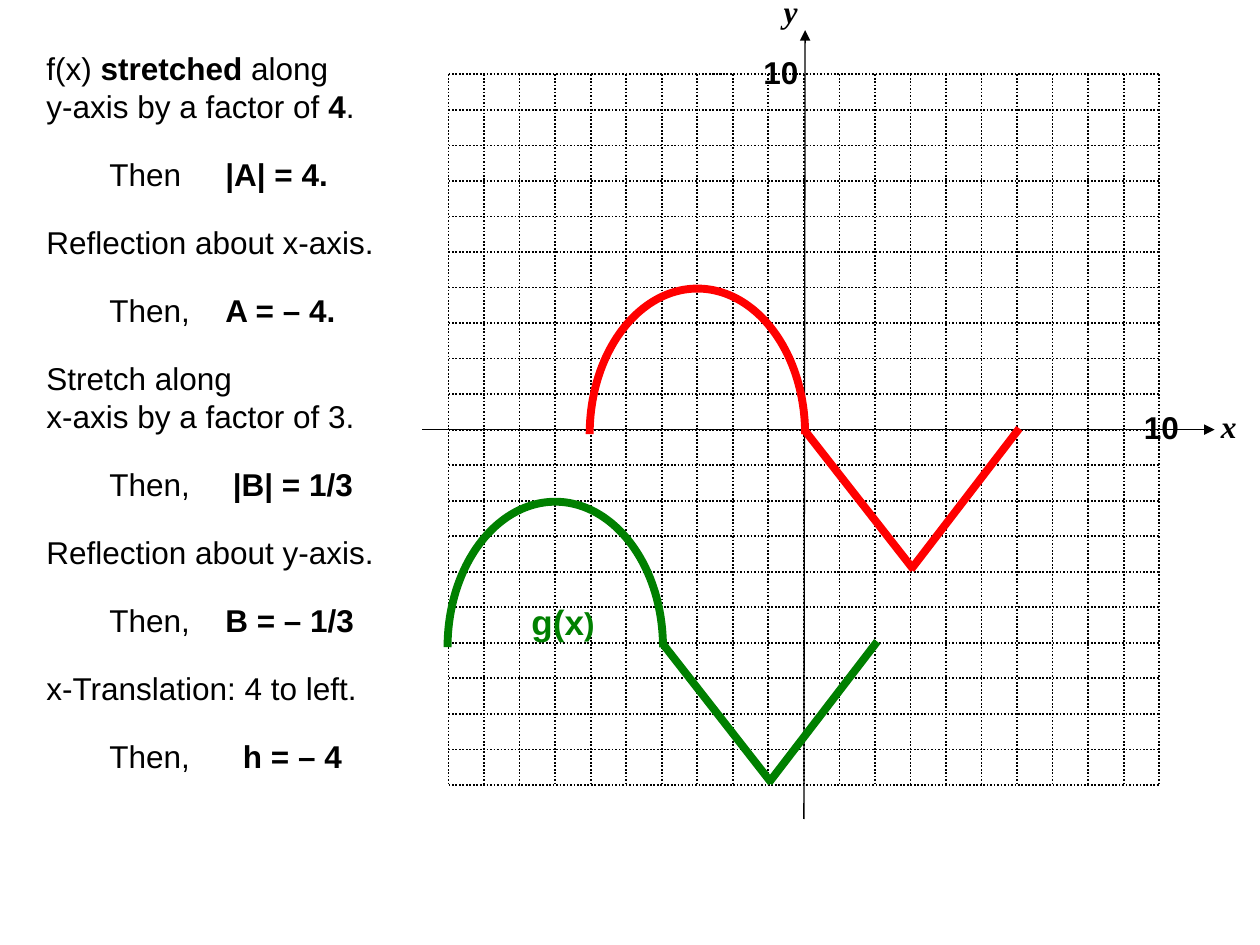
from dataclasses import dataclass
from typing import NamedTuple

from lxml import etree
from pptx import Presentation
from pptx.dml.color import RGBColor
from pptx.enum.dml import MSO_LINE
from pptx.enum.shapes import MSO_CONNECTOR, MSO_SHAPE
from pptx.oxml.ns import qn
from pptx.util import Inches, Pt

STRAIGHT = MSO_CONNECTOR.STRAIGHT
ARC = MSO_SHAPE.ARC
DOTTED = MSO_LINE.ROUND_DOT


@dataclass(frozen=True)
class Theme:
    black: RGBColor = RGBColor(0, 0, 0)
    red: RGBColor = RGBColor(255, 0, 0)
    green: RGBColor = RGBColor(0, 128, 0)
    sans: str = "Arial"
    serif: str = "Times New Roman"
    body: float = 18
    large: float = 20
    grid: float = 1
    axis: float = 0.75
    curve: float = 4.5


T = Theme()


class Run(NamedTuple):
    text: str
    bold: bool = False
    italic: bool = False
    font: str = T.sans
    size: float = T.body
    color: RGBColor = T.black


class Point(NamedTuple):
    x: float
    y: float


class Step(NamedTuple):
    lines: list[list[Run]]
    width: float
    tab: float = 0


GRID_LEFT, GRID_TOP, GRID_SIZE, CELLS = 3.56, 0.59, 5.64, 20
CELL = GRID_SIZE / CELLS
TEXT_LEFT, INDENT, TEXT_TOP = 0.27, 0.5, 0.34
LINE_HEIGHT, STEP_GAP, PADDING = 0.3, 0.14, 0.1

STEPS = [
    Step([[Run("f(x) "), Run("stretched", True), Run(" along")],
          [Run("y-axis by a factor of "), Run("4", True), Run(".")]], 2.75),
    Step([[Run("Then\t"), Run("|A| = 4.", True)]], 2.05, 0.92),
    Step([[Run("Reflection about x-axis.")]], 2.9),
    Step([[Run("Then,\t"), Run("A = – 4.", True)]], 2.15, 0.92),
    Step([[Run("Stretch along")], [Run("x-axis by a factor of 3.")]], 2.75),
    Step([[Run("Then,\t"), Run("|B| = 1/3", True)]], 2.25, 0.98),
    Step([[Run("Reflection about y-axis.")]], 2.9),
    Step([[Run("Then,\t"), Run("B = – 1/3", True)]], 2.3, 0.92),
    Step([[Run("x-Translation: 4 to left.")]], 2.75),
    Step([[Run("Then,\t"), Run("h = – 4", True)]], 2.15, 1.06),
]


def add_line(shapes, start: Point, end: Point, color: RGBColor, width: float,
             dash=None, arrow: bool = False) -> None:
    s = shapes.add_connector(STRAIGHT, *(Inches(v) for v in (*start, *end)))
    s.line.color.rgb = color
    s.line.width = Pt(width)
    if dash is not None:
        s.line.dash_style = dash
    if arrow:
        etree.SubElement(s.line._get_or_add_ln(), qn("a:headEnd"), type="triangle")
    etree.SubElement(s._element.spPr, qn("a:effectLst"))


def add_text(shapes, at: Point, width: float, lines: list[list[Run]],
             tab: float = 0) -> None:
    height = PADDING + LINE_HEIGHT * len(lines)
    s = shapes.add_textbox(*(Inches(v) for v in (*at, width, height)))
    tf = s.text_frame
    tf.word_wrap = False
    for i, runs in enumerate(lines):
        p = tf.add_paragraph() if i else tf.paragraphs[0]
        if tab:
            stops = etree.SubElement(p._p.get_or_add_pPr(), qn("a:tabLst"))
            etree.SubElement(stops, qn("a:tab"), pos=str(Inches(tab)), algn="l")
        for run in runs:
            r = p.add_run()
            r.text = run.text
            look = {"name": run.font, "size": Pt(run.size),
                    "bold": run.bold, "italic": run.italic}
            for name, value in look.items():
                setattr(r.font, name, value)
            r.font.color.rgb = run.color


def add_grid(shapes) -> None:
    right, bottom = GRID_LEFT + GRID_SIZE, GRID_TOP + GRID_SIZE
    group = shapes.add_group_shape().shapes
    for i in range(CELLS + 1):
        x = GRID_LEFT + i * CELL
        add_line(group, Point(x, GRID_TOP), Point(x, bottom), T.black, T.grid, DOTTED)
    for i in range(CELLS + 1):
        y = bottom - i * CELL
        add_line(group, Point(GRID_LEFT, y), Point(right, y), T.black, T.grid, DOTTED)


def add_curve(shapes, joint: Point, color: RGBColor) -> None:
    x, y = joint
    group = shapes.add_group_shape().shapes
    add_line(group, Point(x + 1.7, y - 0.01), Point(x + 0.84, y + 1.11), color, T.curve)
    add_line(group, Point(x + 0.86, y + 1.11), Point(x, y + 0.01), color, T.curve)
    s = group.add_shape(ARC, *(Inches(v) for v in (x - 1.71, y - 1.12, 1.71, 2.31)))
    s.adjustments[0] = 108
    s.adjustments[1] = 0
    s.shadow.inherit = False
    s.fill.background()
    s.line.color.rgb = color
    s.line.width = Pt(T.curve)


def main() -> None:
    prs = Presentation()
    prs.slide_width, prs.slide_height = Inches(10), Inches(7.5)
    shapes = prs.slides.add_slide(prs.slide_layouts[6]).shapes

    add_grid(shapes)
    add_text(shapes, Point(6.12, -0.11), 0.31, [[Run("y", True, True, T.serif)]])
    add_line(shapes, Point(6.39, 0.24), Point(6.38, 6.5), T.black, T.axis, arrow=True)
    add_line(shapes, Point(9.64, 3.41), Point(3.35, 3.41), T.black, T.axis, arrow=True)
    add_text(shapes, Point(9.59, 3.18), 0.32, [[Run("x", True, True, T.serif)]])
    for at in (Point(8.98, 3.19), Point(5.96, 0.37)):
        add_text(shapes, at, 0.48, [[Run("10", True)]])
    add_line(shapes, Point(5.63, GRID_TOP), Point(5.76, GRID_TOP), T.black, T.grid, DOTTED)

    origin = Point(6.39, 3.41)
    shifted = Point(origin.x - 4 * CELL, origin.y + 6 * CELL)
    add_curve(shapes, shifted, T.green)
    add_curve(shapes, origin, T.red)
    add_text(shapes, Point(4.12, 4.72), 0.7,
             [[Run("g(x", True, size=T.large, color=T.green),
               Run(")", True, color=T.green)]])

    top = TEXT_TOP
    for step in STEPS:
        left = TEXT_LEFT + (INDENT if step.tab else 0)
        add_text(shapes, Point(left, top), step.width, step.lines, step.tab)
        top += PADDING + LINE_HEIGHT * len(step.lines) + STEP_GAP

    prs.save("out.pptx")


if __name__ == "__main__":
    main()
